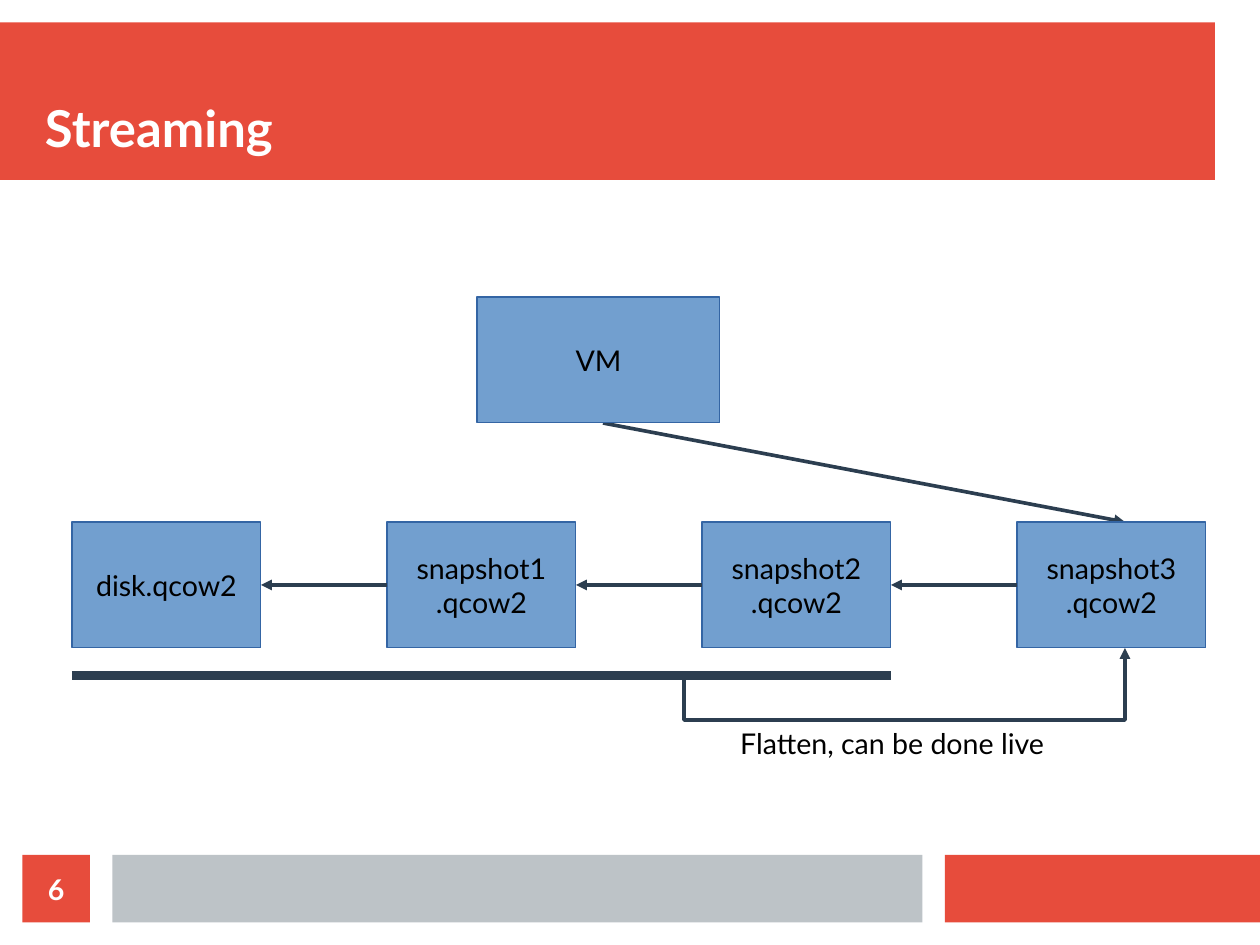
"""Build the slide that explains streaming of a qcow2 snapshot chain."""
import pptx
import pptx.dml.color
import pptx.enum.shapes
import pptx.enum.text
import pptx.oxml
import pptx.oxml.ns
import pptx.util

Cm = pptx.util.Cm
Pt = pptx.util.Pt
RGBColor = pptx.dml.color.RGBColor
PP_ALIGN = pptx.enum.text.PP_ALIGN
MSO_ANCHOR = pptx.enum.text.MSO_ANCHOR
STRAIGHT = pptx.enum.shapes.MSO_CONNECTOR.STRAIGHT

RED = RGBColor(0xE7, 0x4C, 0x3C)
GRAY = RGBColor(0xBD, 0xC3, 0xC7)
BLUE = RGBColor(0x72, 0x9F, 0xCF)
BORDER = RGBColor(0x34, 0x65, 0xA4)
NAVY = RGBColor(0x2C, 0x3E, 0x50)
BLACK = RGBColor(0, 0, 0)
WHITE = RGBColor(0xFF, 0xFF, 0xFF)


def add_text(frame, lines, size, color, bold=False, align=PP_ALIGN.CENTER):
    para = frame.paragraphs[0]
    para.alignment = align
    for number, line in enumerate(lines):
        if number:
            para.add_line_break()
        span = para.add_run()
        span.text = line
        span.font.name = "Lato"
        span.font.size = Pt(size)
        span.font.bold = bold
        span.font.color.rgb = color


def style_line(shape, width, arrow=True):
    shape.line.color.rgb = NAVY
    shape.line.width = Pt(width)
    namespace = pptx.oxml.ns.nsdecls("a")
    properties = shape.element.spPr
    if arrow:
        head = pptx.oxml.parse_xml(f'<a:tailEnd {namespace} type="triangle"/>')
        properties.get_or_add_ln().append(head)
    properties.append(pptx.oxml.parse_xml(f"<a:effectLst {namespace}/>"))


deck = pptx.Presentation()
deck.slide_width = Cm(28)
deck.slide_height = Cm(21)
page = deck.slides.add_slide(deck.slide_layouts[5])
shapes = page.shapes
RECTANGLE = pptx.enum.shapes.MSO_SHAPE.RECTANGLE

title = shapes.title
title.left, title.top, title.width, title.height = Cm(1), Cm(1), Cm(26), Cm(2.5)
frame = title.text_frame
frame.margin_left = frame.margin_top = frame.margin_right = frame.margin_bottom = 0
frame.vertical_anchor = MSO_ANCHOR.BOTTOM
frame.auto_size = pptx.enum.text.MSO_AUTO_SIZE.NONE
add_text(frame, ["Streaming"], 32, WHITE, True, PP_ALIGN.LEFT)

bands = [
    (0, 0.5, 27, 3.5, RED),
    (21, 19, 7, 1.5, RED),
    (2.5, 19, 18, 1.5, GRAY),
    (0.5, 19, 1.5, 1.5, RED),
]
for left, top, width, height, color in bands:
    band = shapes.add_shape(RECTANGLE, Cm(left), Cm(top), Cm(width), Cm(height))
    band.shadow.inherit = False
    band.fill.solid()
    band.fill.fore_color.rgb = color
    band.line.fill.background()
    title.element.addprevious(band.element)

frame = band.text_frame
frame.margin_left = frame.margin_top = frame.margin_right = frame.margin_bottom = 0
frame.vertical_anchor = MSO_ANCHOR.MIDDLE
add_text(frame, ["6"], 18, WHITE, True)

vm_arrow = shapes.add_connector(STRAIGHT, Cm(13.4), Cm(9.4), Cm(25), Cm(11.6))
style_line(vm_arrow, 2.3)

nodes = [(10.6, 6.6, 5.4, ["VM"]), (1.6, 11.6, 4.2, ["disk.qcow2"])]
for number in range(1, 4):
    nodes.append((1.6 + 7 * number, 11.6, 4.2, [f"snapshot{number}", ".qcow2"]))

boxes = []
for left, top, width, lines in nodes:
    box = shapes.add_shape(RECTANGLE, Cm(left), Cm(top), Cm(width), Cm(2.8))
    box.shadow.inherit = False
    box.fill.solid()
    box.fill.fore_color.rgb = BLUE
    box.line.color.rgb = BORDER
    box.line.width = Pt(0)
    box.text_frame.word_wrap = False
    box.text_frame.vertical_anchor = MSO_ANCHOR.MIDDLE
    add_text(box.text_frame, lines, 18, BLACK)
    boxes.append(box)

chain = boxes[1:]
for base, overlay in zip(chain, chain[1:]):
    arrow = shapes.add_connector(STRAIGHT, 0, 0, 0, 0)
    arrow.begin_connect(overlay, 1)
    arrow.end_connect(base, 3)
    style_line(arrow, 2.3)

flattened = shapes.add_connector(STRAIGHT, Cm(1.6), Cm(15), Cm(19.8), Cm(15))
style_line(flattened, 5.67, arrow=False)

outline = shapes.build_freeform(Cm(15.2), Cm(15))
corners = [(15.2, 16), (25, 16), (25, 14.4)]
outline.add_line_segments([(Cm(x), Cm(y)) for x, y in corners], close=False)
flatten_arrow = outline.convert_to_shape()
flatten_arrow.fill.background()
style_line(flatten_arrow, 2.3)

caption = shapes.add_textbox(Cm(16.2), Cm(16), Cm(8.97), Cm(1.12))
caption.text_frame.word_wrap = True
add_text(caption.text_frame, ["Flatten, can be done live"], 18, BLACK, align=PP_ALIGN.LEFT)

deck.save("out.pptx")
